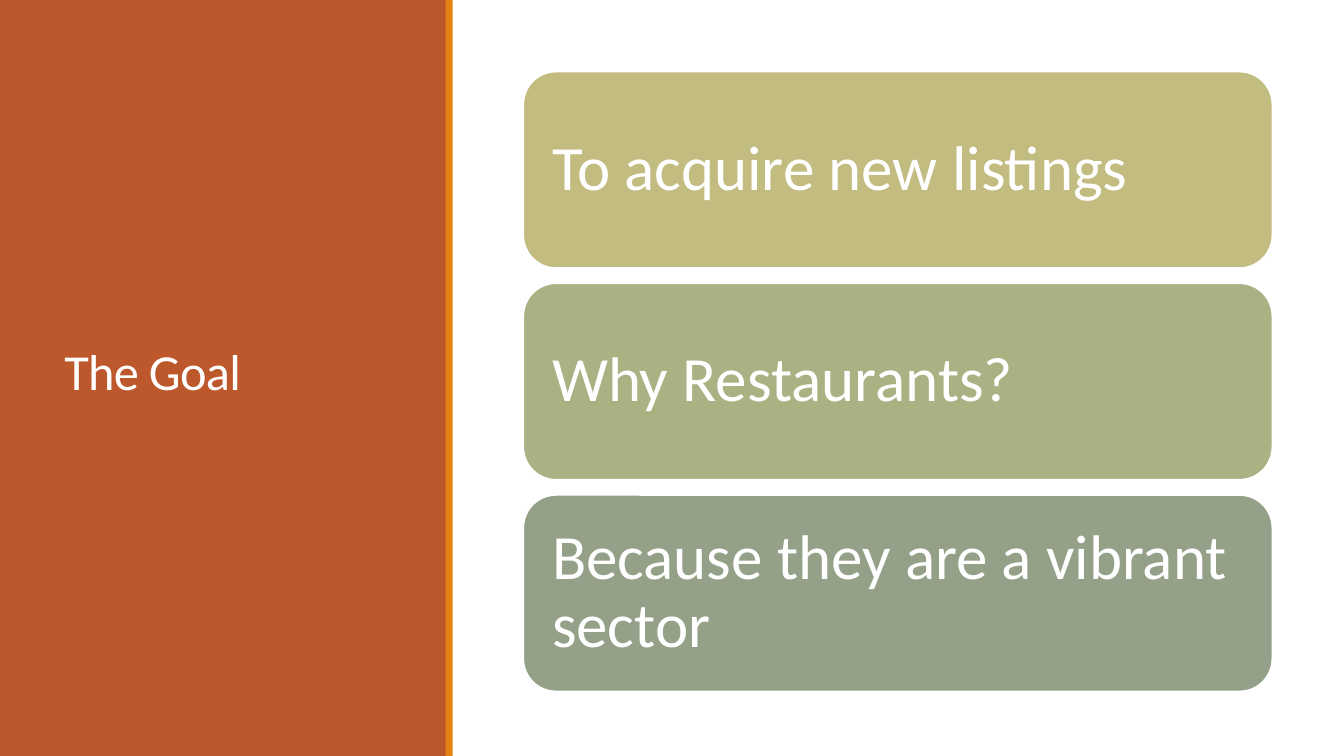
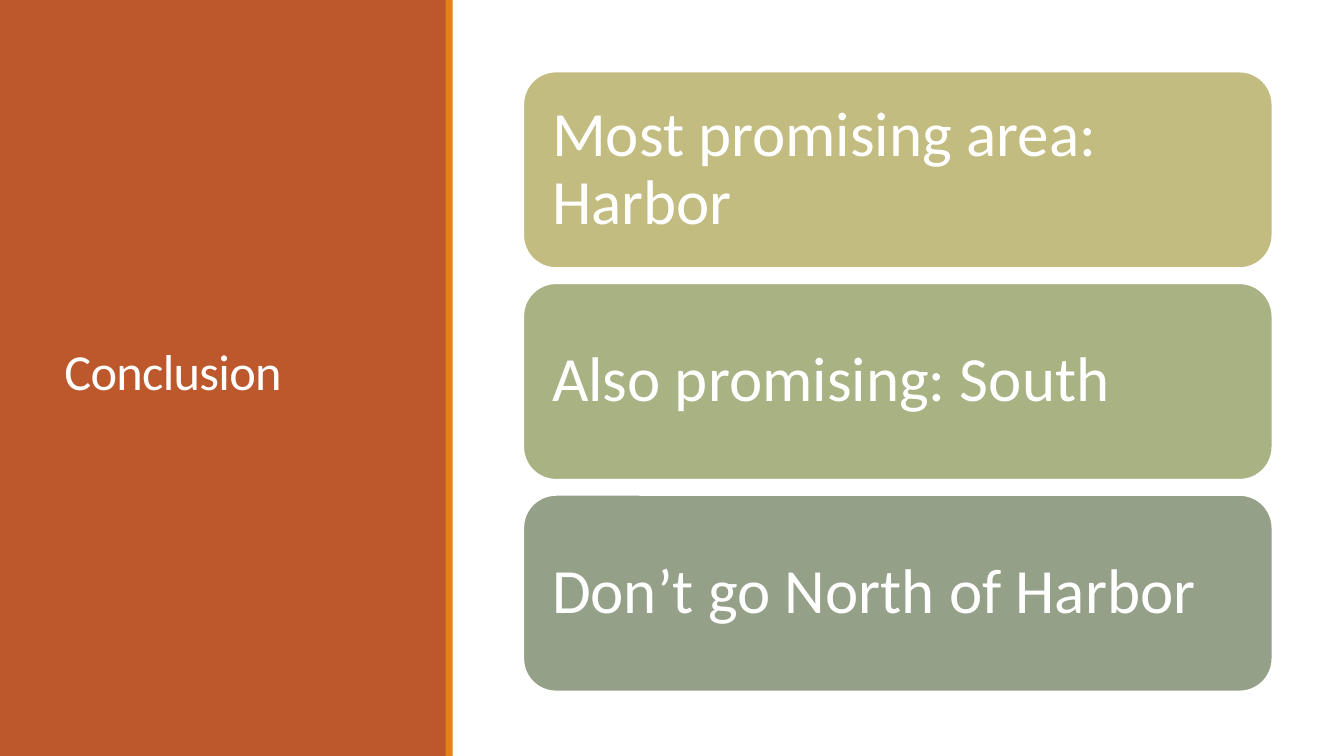
"""Build two slides, each with a titled side panel and a stack of message cards."""
from dataclasses import dataclass

from pptx import Presentation
from pptx.dml.color import RGBColor
from pptx.enum.shapes import MSO_SHAPE as Shape
from pptx.enum.text import MSO_ANCHOR as Anchor, PP_ALIGN as Align
from pptx.shapes.autoshape import Shape as AutoShape
from pptx.slide import Slide
from pptx.util import Emu, Pt

EMU_PER_PX = 9144
SLIDE_WIDTH, SLIDE_HEIGHT = 1333, 750
FONT = "Calibri"
COLORS = {
    "panel": "BD582C",
    "accent": "E48312",
    "white": "FFFFFF",
    "sand": "C2BC80",
    "olive": "A8B283",
    "sage": "94A088",
}
CARD_FILLS = ("sand", "olive", "sage")
CARD_HEIGHT, CARD_GAP = 195, 15


@dataclass(frozen=True)
class Box:
    left: int
    top: int
    width: int
    height: int

    def emu(self) -> tuple[Emu, Emu, Emu, Emu]:
        return px(self.left), px(self.top), px(self.width), px(self.height)


@dataclass(frozen=True)
class TextStyle:
    size: int
    line_spacing: float
    inset: int
    tracking: int = 0


@dataclass(frozen=True)
class Page:
    title: str
    messages: tuple[str, ...]


PANEL = Box(0, 0, 443, SLIDE_HEIGHT)
STRIP = Box(442, 0, 7, SLIDE_HEIGHT)
TITLE = Box(54, 57, 337, 631)
FIRST_CARD = Box(519, 71, 743, CARD_HEIGHT)
TITLE_STYLE = TextStyle(size=36, line_spacing=0.85, inset=10, tracking=-50)
CARD_STYLE = TextStyle(size=45, line_spacing=0.9, inset=19)

PAGES = (
    Page("The Goal", (
        "To acquire new listings",
        "Why Restaurants?",
        "Because they are a vibrant sector",
    )),
    Page("Conclusion", (
        "Most promising area: Harbor",
        "Also promising: South",
        "Don’t go North of Harbor",
    )),
)


def px(length: int) -> Emu:
    return Emu(length * EMU_PER_PX)


def color(name: str) -> RGBColor:
    return RGBColor.from_string(COLORS[name])


def add_block(slide: Slide, kind: Shape, box: Box, fill: str) -> AutoShape:
    shape = slide.shapes.add_shape(kind, *box.emu())
    shape.shadow.inherit = False
    shape.fill.solid()
    shape.fill.fore_color.rgb = color(fill)
    shape.line.fill.background()
    return shape


def write_text(shape: AutoShape, text: str, style: TextStyle) -> None:
    frame = shape.text_frame
    frame.word_wrap = True
    frame.vertical_anchor = Anchor.MIDDLE
    frame.margin_left = frame.margin_right = px(style.inset)
    frame.margin_top = frame.margin_bottom = px(style.inset)
    paragraph = frame.paragraphs[0]
    paragraph.alignment = Align.LEFT
    paragraph.line_spacing = style.line_spacing
    run = paragraph.add_run()
    run.text = text
    run.font.name = FONT
    run.font.size = Pt(style.size)
    run.font.color.rgb = color("white")
    if style.tracking:
        run.font._element.set("spc", str(style.tracking))


def add_side_panel(slide: Slide, title: str) -> None:
    add_block(slide, Shape.RECTANGLE, PANEL, "panel")
    write_text(slide.shapes.add_textbox(*TITLE.emu()), title, TITLE_STYLE)
    add_block(slide, Shape.RECTANGLE, STRIP, "accent")


def add_cards(slide: Slide, messages: tuple[str, ...]) -> None:
    for index, (message, fill) in enumerate(zip(messages, CARD_FILLS)):
        top = FIRST_CARD.top + index * (CARD_HEIGHT + CARD_GAP)
        box = Box(FIRST_CARD.left, top, FIRST_CARD.width, CARD_HEIGHT)
        card = add_block(slide, Shape.ROUNDED_RECTANGLE, box, fill)
        card.line.color.rgb = color("white")
        card.line.width = Pt(1.25)
        write_text(card, message, CARD_STYLE)


def main() -> None:
    presentation = Presentation()
    presentation.slide_width = px(SLIDE_WIDTH)
    presentation.slide_height = px(SLIDE_HEIGHT)
    blank_layout = presentation.slide_layouts[6]
    for page in PAGES:
        slide = presentation.slides.add_slide(blank_layout)
        add_side_panel(slide, page.title)
        add_cards(slide, page.messages)
    presentation.save("out.pptx")


if __name__ == "__main__":
    main()
